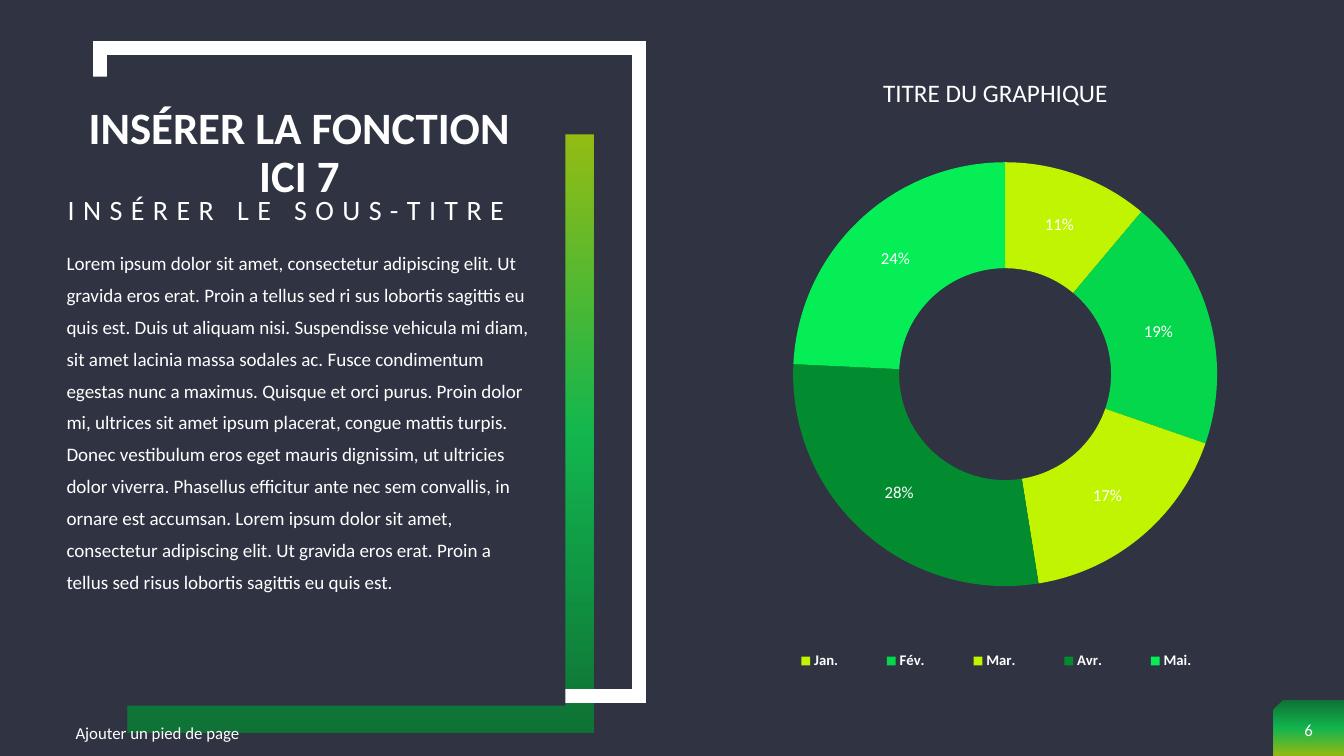
"""Build a dark slide with framed text and a doughnut chart."""
from dataclasses import dataclass

from lxml.etree import SubElement
from pptx import Presentation
from pptx.chart.data import CategoryChartData
from pptx.dml.color import RGBColor
from pptx.enum.chart import XL_CHART_TYPE, XL_LEGEND_POSITION
from pptx.enum.shapes import MSO_SHAPE
from pptx.enum.text import MSO_ANCHOR, MSO_AUTO_SIZE, PP_ALIGN
from pptx.oxml.ns import qn
from pptx.util import Inches, Pt


@dataclass(frozen=True)
class Theme:
    """Colours, font and type sizes of the slide."""

    font: str = "Calibri"
    background: str = "2F3342"
    text: str = "FFFFFF"
    gradient: tuple = ("038B30", "05EE55", "C0F400")
    slices: tuple = ("C0F400", "05D74D", "C0F400", "038B30", "05EE55")
    title: float = 32
    subtitle: float = 20
    chart_title: float = 18
    body: float = 13.6
    small: float = 12
    legend: float = 10.5


class Builder:
    """Draw elements on one page, with boxes in percent of its size."""

    def __init__(self, deck, theme):
        """Add a page with the theme's background."""
        self.deck, self.theme = deck, theme
        self.page = deck.slides.add_slide(deck.slide_layouts[3])
        self.paint(self.page.background.fill, theme.background)

    def box(self, left, top, width, height):
        """Turn percentages into slide lengths."""
        across, down = self.deck.slide_width, self.deck.slide_height
        shares = ((left, across), (top, down), (width, across), (height, down))
        return [int(share * length / 100) for share, length in shares]

    def paint(self, fill, color):
        """Make a fill solid."""
        fill.solid()
        fill.fore_color.rgb = RGBColor.from_string(color)

    def style(self, font, size, bold=False):
        """Apply the theme's font and text colour."""
        font.name, font.size, font.bold = self.theme.font, Pt(size), bold
        font.color.rgb = RGBColor.from_string(self.theme.text)

    def shape(self, place, kind=MSO_SHAPE.RECTANGLE):
        """Add a preset shape without fill, line or shadow."""
        shape = self.page.shapes.add_shape(kind, *self.box(*place))
        shape.shadow.inherit = False
        shape.fill.background()
        shape.line.fill.background()
        return shape

    def panel(self, place, color):
        """Add a plain filled rectangle."""
        self.paint(self.shape(place).fill, color)

    def outline(self, place, width):
        """Add an unfilled rectangle with sharp corners."""
        shape = self.shape(place)
        self.paint(shape.line.fill, self.theme.text)
        shape.line.width = Pt(width)
        SubElement(shape.element.spPr.find(qn("a:ln")), qn("a:miter"), lim="800000")

    def gradient(self, place, angle, kind=MSO_SHAPE.RECTANGLE, flip=False):
        """Add a shape with the theme's translucent gradient."""
        shape = self.shape(place, kind)
        shape.fill.gradient()
        shape.fill.gradient_angle = angle
        stops = shape.element.spPr.find(".//" + qn("a:gsLst"))
        for stop in list(stops):
            stops.remove(stop)
        for index, color in enumerate(self.theme.gradient):
            stop = SubElement(stops, qn("a:gs"), pos=str(index * 50000))
            tint = SubElement(stop, qn("a:srgbClr"), val=color)
            SubElement(tint, qn("a:alpha"), val="70000")
        if flip:
            shape.element.spPr.find(qn("a:xfrm")).set("flipH", "1")

    def set_text(self, shape, text, size, align, anchor, bold=False):
        """Fill a text shape with one styled paragraph."""
        frame = shape.text_frame
        frame.word_wrap, frame.auto_size = True, MSO_AUTO_SIZE.NONE
        frame.vertical_anchor = anchor
        para = frame.paragraphs[0]
        para.text, para.alignment = text, align
        self.style(para.font, size, bold)
        return para

    def placeholder(self, index, place, text, size, spacing=0.9, before=0, tracking=0,
                    align=PP_ALIGN.LEFT, anchor=MSO_ANCHOR.TOP, bold=False):
        """Move a placeholder to the front and fill it without bullets."""
        shape = self.page.placeholders[index]
        shape.left, shape.top, shape.width, shape.height = self.box(*place)
        shape.element.getparent().append(shape.element)
        para = self.set_text(shape, text, size, align, anchor, bold)
        para.line_spacing, para.space_before = spacing, Pt(before)
        shape.text_frame.margin_left = shape.text_frame.margin_right = 0
        settings = shape.element.find(".//" + qn("a:pPr"))
        settings.set("marL", "0")
        settings.set("indent", "0")
        defaults = settings.find(qn("a:defRPr"))
        defaults.set("spc", str(tracking * 100))
        defaults.addprevious(SubElement(settings, qn("a:buNone")))

    def label(self, place, text, align=PP_ALIGN.LEFT):
        """Add a small text box."""
        shape = self.page.shapes.add_textbox(*self.box(*place))
        self.set_text(shape, text, self.theme.small, align, MSO_ANCHOR.MIDDLE)

    def arrange(self, chart, tag, index, **shares):
        """Fix a chart part's place as shares of the chart."""
        part = chart.element.find(".//" + qn(tag))
        for old in part.findall(qn("c:layout")):
            part.remove(old)
        layout = SubElement(part, qn("c:layout"))
        part.insert(index, layout)
        manual = SubElement(layout, qn("c:manualLayout"))
        if tag == "c:plotArea":
            SubElement(manual, qn("c:layoutTarget"), val="inner")
        for axis in "xy":
            SubElement(manual, qn(f"c:{axis}Mode"), val="edge")
        for name, share in shares.items():
            SubElement(manual, qn(f"c:{name}"), val=str(share))

    def doughnut(self, place, title, series, values):
        """Add a doughnut chart with percentages and a legend."""
        theme = self.theme
        data = CategoryChartData()
        data.categories = list(values)
        data.add_series(series, list(values.values()))
        frame = self.page.shapes.add_chart(XL_CHART_TYPE.DOUGHNUT, *self.box(*place), data)
        chart = frame.chart
        self.style(chart.font, theme.small)
        chart.has_title = chart.has_legend = True
        para = chart.chart_title.text_frame.paragraphs[0]
        para.text = title
        self.style(para.font, theme.chart_title)
        chart.legend.position = XL_LEGEND_POSITION.TOP
        chart.legend.include_in_layout = False
        self.style(chart.legend.font, theme.legend, True)
        plot = chart.plots[0]
        plot.vary_by_categories = plot.has_data_labels = True
        labels = plot.data_labels
        labels.show_percentage, labels.show_value = True, False
        labels.number_format, labels.number_format_is_linked = "0%", False
        self.style(labels.font, theme.small)
        for index, color in enumerate(theme.slices):
            point = plot.series[0].points[index].format
            self.paint(point.fill, color)
            point.line.fill.background()
        chart.element.find(".//" + qn("c:holeSize")).set("val", "70")
        self.arrange(chart, "c:title", 1, x=0.3, y=0.03)
        self.arrange(chart, "c:plotArea", 0, x=0.15, y=0.17, w=0.74, h=0.65)
        self.arrange(chart, "c:legend", 1, x=0.09, y=0.91, w=0.83, h=0.05)


BODY = (
    "Lorem ipsum dolor sit amet, consectetur adipiscing elit. Ut gravida eros erat. "
    "Proin a tellus sed ri sus lobortis sagittis eu quis est. Duis ut aliquam nisi. "
    "Suspendisse vehicula mi diam, sit amet lacinia massa sodales ac. Fusce condimentum "
    "egestas nunc a maximus. Quisque et orci purus. Proin dolor mi, ultrices sit amet "
    "ipsum placerat, congue mattis turpis. Donec vestibulum eros eget mauris dignissim, "
    "ut ultricies dolor viverra. Phasellus efficitur ante nec sem convallis, in ornare "
    "est accumsan. Lorem ipsum dolor sit amet, consectetur adipiscing elit. Ut gravida "
    "eros erat. Proin a tellus sed risus lobortis sagittis eu quis est."
)


def main():
    """Build and save the slide."""
    deck = Presentation()
    deck.slide_width, deck.slide_height = Inches(13.33), Inches(7.5)
    theme = Theme()
    page = Builder(deck, theme)
    page.gradient((94.75, 92.67, 5.25, 7.33), 270, MSO_SHAPE.SNIP_1_RECTANGLE, True)
    page.gradient((9.53, 17.87, 34.66, 79.07), 90)
    page.outline((7.43, 6.4, 40.14, 85.73), 10)
    page.panel((5.4, 10.13, 36.68, 83.2), theme.background)
    page.placeholder(0, (4.95, 14.27, 34.66, 12.13), "INSÉRER LA FONCTION ICI 7", theme.title,
                     align=PP_ALIGN.CENTER, anchor=MSO_ANCHOR.MIDDLE, bold=True)
    page.placeholder(1, (5.03, 25.33, 36.61, 6), "INSÉRER LE SOUS-TITRE", theme.subtitle,
                     before=10, tracking=6)
    page.placeholder(2, (4.95, 31.33, 34.66, 56.27), BODY, theme.body, spacing=1.4, before=10)
    page.doughnut((52.51, 6.8, 42.84, 86.27), "TITRE DU GRAPHIQUE", "Series 1",
                  {"Jan.": 11, "Fév.": 19, "Mar.": 17, "Avr.": 28, "Mai.": 24})
    page.label((4.88, 94.27, 33.76, 5.33), "Ajouter un pied de page")
    page.label((94.75, 93.47, 5.25, 6), "6", PP_ALIGN.CENTER)
    deck.save("out.pptx")


if __name__ == "__main__":
    main()
